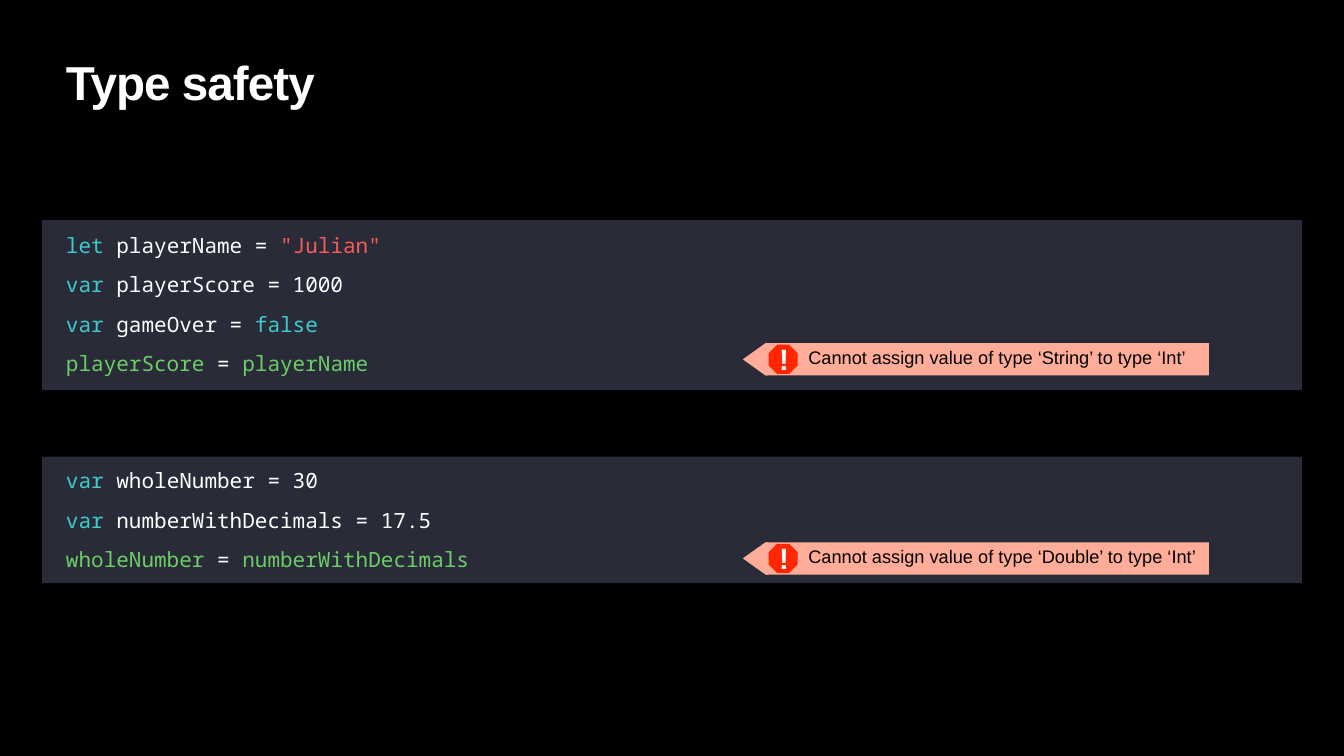
"""Build the "Type safety" slide: two code panels, each with a compiler error."""
from pptx import Presentation
from pptx.dml.color import RGBColor
from pptx.enum.shapes import MSO_SHAPE as Shape
from pptx.enum.text import MSO_ANCHOR as Anchor, PP_ALIGN as Align
from pptx.util import Inches, Pt

BLACK = RGBColor(0x00, 0x00, 0x00)
WHITE = RGBColor(0xFF, 0xFF, 0xFF)
PANEL = RGBColor(0x29, 0x2B, 0x38)
TEAL = RGBColor(0x3D, 0xCC, 0xCC)
CORAL = RGBColor(0xF9, 0x5B, 0x57)
GREEN = RGBColor(0x6C, 0xCE, 0x66)
SALMON = RGBColor(0xFF, 0xAD, 0x99)
RED = RGBColor(0xFF, 0x26, 0x00)

TITLE = "Type safety"
BLOCKS = [
    {
        "panel": (4.37, 3.37),
        "first_row": 0,
        "code": [
            [("let", TEAL), (" playerName = ", WHITE), ('"Julian"', CORAL)],
            [("var", TEAL), (" playerScore = 1000", WHITE)],
            [("var", TEAL), (" gameOver = ", WHITE), ("false", TEAL)],
            [("playerScore", GREEN), (" = ", WHITE), ("playerName", GREEN)],
        ],
        "error": "Cannot assign value of type ‘String’ to type ‘Int’",
        "error_top": 6.81,
    },
    {
        "panel": (9.06, 2.51),
        "first_row": 6,
        "code": [
            [("var", TEAL), (" wholeNumber = 30", WHITE)],
            [("var", TEAL), (" numberWithDecimals = 17.5", WHITE)],
            [("wholeNumber", GREEN), (" = ", WHITE), ("numberWithDecimals", GREEN)],
        ],
        "error": "Cannot assign value of type ‘Double’ to type ‘Int’",
        "error_top": 10.76,
    },
]

SLIDE_W, SLIDE_H = 26.67, 15
PANEL_W = 25
PANEL_X = (SLIDE_W - PANEL_W) / 2
TEXT_X, TEXT_W, TEXT_INSET = 1.25, 24.17, 0.06
CODE_TOP, CODE_LEADING = 4.28, 56
ROW_H = CODE_LEADING / 72
TIP_X, BAR_X, BAR_W, BAR_H = 14.74, 15.19, 8.8, 0.64
SIGN_X, SIGN = 15.25, 0.58
MESSAGE_X = 16.04


def paint(sp, color):
    sp.shadow.inherit = False
    sp.fill.solid()
    sp.fill.fore_color.rgb = color
    sp.line.fill.background()


def add_shape(shapes, kind, box, color):
    sp = shapes.add_shape(kind, *map(Inches, box))
    paint(sp, color)
    return sp


def add_text(shapes, box, lines, font, size, bold=False, leading=None,
             inset=0, anchor=Anchor.TOP, align=Align.LEFT, wrap=True):
    tf = shapes.add_textbox(*map(Inches, box)).text_frame
    tf.word_wrap, tf.vertical_anchor = wrap, anchor
    tf.margin_left = tf.margin_right = Inches(inset)
    tf.margin_top = tf.margin_bottom = Inches(inset)
    for i, line in enumerate(lines):
        p = tf.add_paragraph() if i else tf.paragraphs[0]
        p.alignment = align
        if leading:
            p.line_spacing = Pt(leading)
        for text, color in line:
            r = p.add_run()
            r.text = text
            r.font.name, r.font.size, r.font.bold = font, Pt(size), bold
            r.font.color.rgb = color
    return tf


def add_error(s, top, message):
    shapes = s.shapes.add_group_shape().shapes
    add_shape(shapes, Shape.RECTANGLE, (BAR_X, top, BAR_W, BAR_H), SALMON)
    seam = BAR_X + 0.05
    outline = [(BAR_X, top), (TIP_X, top + BAR_H / 2), (BAR_X, top + BAR_H),
               (seam, top + BAR_H), (seam, top)]
    points = [(Inches(x), Inches(y)) for x, y in outline]
    pointer = shapes.build_freeform(*points[0])
    pointer.add_line_segments(points[1:], close=True)
    paint(pointer.convert_to_shape(), SALMON)
    add_text(shapes, (MESSAGE_X, top + 0.06, 9, 0.52), [[(message, BLACK)]], "Arial", 26)
    sign_y = top + (BAR_H - SIGN) / 2
    add_shape(shapes, Shape.OCTAGON, (SIGN_X, sign_y, SIGN, SIGN), RED)
    add_text(shapes, (15.46, top - 0.04, 0.17, 0.7), [[("!", WHITE)]], "Arial", 42,
             bold=True, align=Align.CENTER, wrap=False)


def main():
    prs = Presentation()
    prs.slide_width, prs.slide_height = Inches(SLIDE_W), Inches(SLIDE_H)
    s = prs.slides.add_slide(prs.slide_layouts[6])
    s.background.fill.solid()
    s.background.fill.fore_color.rgb = BLACK

    tf = add_text(s.shapes, (TEXT_X, 0, TEXT_W, SLIDE_H * 0.15), [[(TITLE, WHITE)]],
                  "Arial", 68, bold=True, leading=73, inset=TEXT_INSET,
                  anchor=Anchor.BOTTOM)
    tf.paragraphs[0].runs[0].font._element.set("spc", "-140")

    for block in BLOCKS:
        top, height = block["panel"]
        add_shape(s.shapes, Shape.RECTANGLE, (PANEL_X, top, PANEL_W, height), PANEL)
        code_y = CODE_TOP + block["first_row"] * ROW_H
        code_h = len(block["code"]) * ROW_H + 2 * TEXT_INSET
        add_text(s.shapes, (TEXT_X, code_y, TEXT_W, code_h), block["code"],
                 "Noto Sans Mono", 30, leading=CODE_LEADING, inset=TEXT_INSET)
        add_error(s, block["error_top"], block["error"])

    prs.save("out.pptx")


if __name__ == "__main__":
    main()
